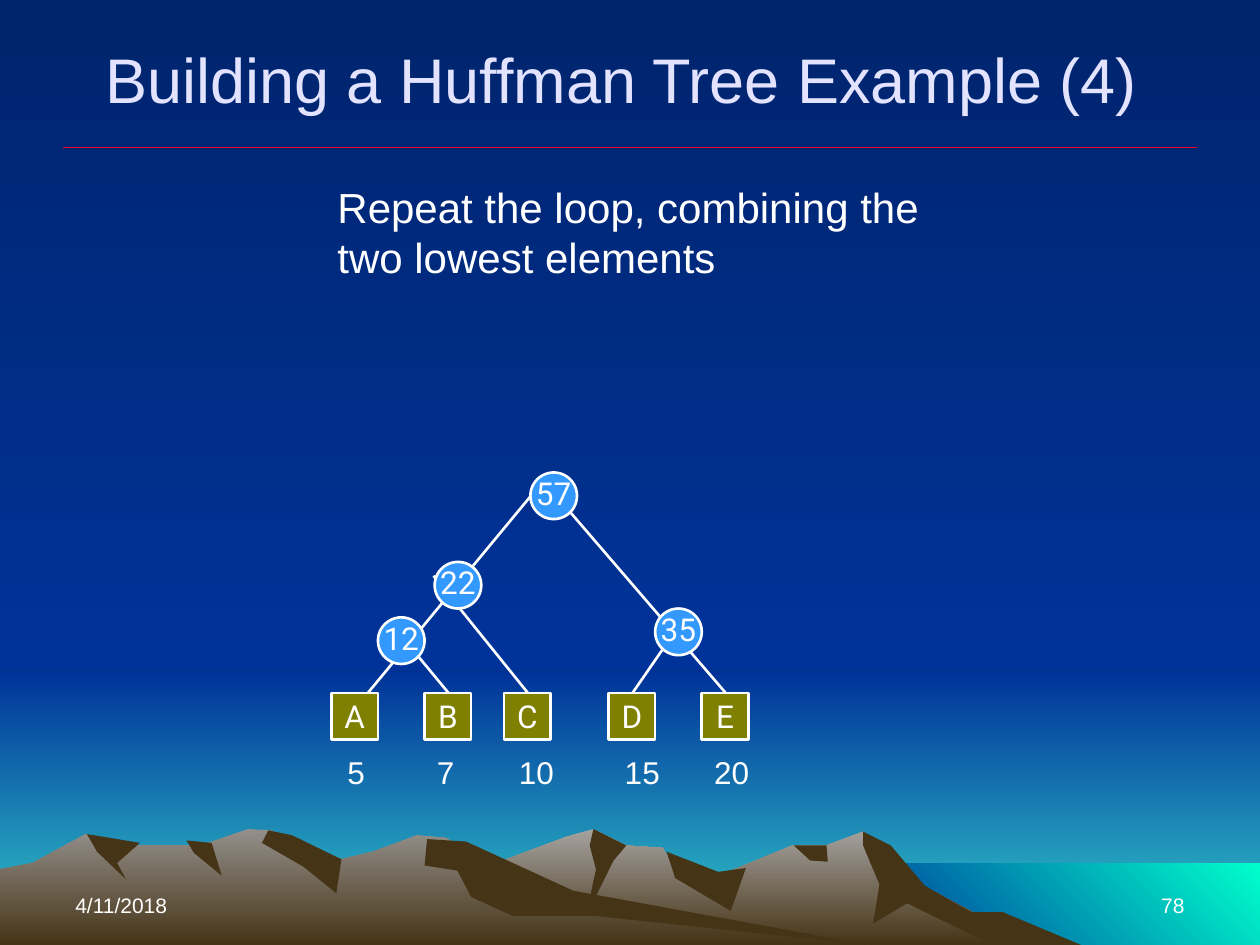
from lxml.etree import SubElement
from pptx import Presentation
from pptx.dml.color import RGBColor as Rgb
from pptx.enum.shapes import MSO_CONNECTOR as Conn, MSO_SHAPE as Shape
from pptx.enum.text import MSO_ANCHOR as Anchor, MSO_AUTO_SIZE as Auto, PP_ALIGN as Align
from pptx.oxml.ns import qn
from pptx.util import Inches, Pt

WIDE, HIGH = 10, 7.5
HORIZON, SHORE = 5.33, 6.85
SIDE = 0.37      # width and height of every tree node
LEAF_TOP = 5.5
LABEL_TOP = 5.93

COLORS = {
    "night": "00246D", "blue": "003399", "teal": "33CCCC", "sea": "00FFCC",
    "mist": "A5A29F", "stone": "938F8B", "earth": "463416", "rule": "EF0129",
    "title": "E3E3FF", "white": "FFFFFF", "leaf": "808000", "node": "3399FF",
}

TITLE = "Building a Huffman Tree Example (4) "
BODY = "Repeat the loop, combining the two lowest elements"
DATE, PAGE = "4/11/2018", "78"

# letter, left of its box, weight, left of the weight
LEAVES = [
    ("A", 2.63, "5", 2.66),
    ("B", 3.37, "7", 3.37),
    ("C", 4.00, "10", 4.02),
    ("D", 4.83, "15", 4.86),
    ("E", 5.57, "20", 5.57),
]
NODES = [("12", 3.00, 4.90), ("22", 3.45, 4.46), ("35", 5.20, 4.83), ("57", 4.21, 3.75)]
EDGES = [
    (5.76, LEAF_TOP, 4.53, 4.07),
    (5.02, LEAF_TOP, 5.40, 4.95),
    (2.87, 5.56, 4.21, 3.94),
    (3.56, LEAF_TOP, 3.32, 5.21),
    (4.19, LEAF_TOP, 3.44, 4.57),
]

# fill, then outline points in inches
HILLS = [
    (("mist", "earth"), [
        (2.58, HIGH), (3.27, 7.09), (3.94, 6.85), (4.5, 6.64), (4.71, 6.58), (4.97, 6.71),
        (5.26, 6.73), (5.36, 6.9), (5.66, 6.97), (6.29, 6.71), (6.56, 6.71), (6.85, 6.6),
        (7.23, 6.98), (8.21, HIGH)]),
    ("earth", [
        (6.85, 6.6), (7.07, 6.71), (7.34, 7.03), (7.71, 7.24), (7.96, 7.24), (8.58, HIGH),
        (7.88, HIGH), (7.2, 7.17), (6.93, 7.33), (6.98, 7.02), (6.85, 6.71)]),
    ("earth", [
        (4.71, 6.58), (4.97, 6.71), (4.87, 6.83), (4.65, 7.27), (4.73, 6.9), (4.68, 6.71)]),
    ("earth", [(5.29, 6.76), (5.7, 6.92), (5.92, 6.89), (5.8, 7.23), (5.36, 6.97)]),
    ("earth", [(6.3, 6.71), (6.56, 6.71), (6.57, 6.84), (6.43, 6.83)]),
    (("stone", "earth"), [
        (0, HIGH), (0, 6.9), (0.26, 6.85), (0.68, 6.62), (0.94, 6.71), (1.6, 6.71),
        (1.97, 6.58), (2.15, 6.59), (2.71, 6.82), (2.96, 6.76), (3.31, 6.63),
        (3.54, 6.65), (4.32, 7.12), (6.9, HIGH)]),
    ("earth", [
        (2.13, 6.59), (2.32, 6.63), (2.71, 6.82), (2.67, 7.09), (2.41, 6.88), (2.08, 6.69)]),
    ("earth", [
        (3.39, 6.66), (3.7, 6.68), (4.55, 7.07), (6.9, HIGH), (4.72, 7.27), (4.07, 7.27),
        (3.74, 7.12), (3.63, 6.91), (3.37, 6.87)]),
    ("earth", [(1.48, 6.67), (1.68, 6.69), (1.76, 6.95), (1.54, 6.77)]),
    ("earth", [
        (0.69, 6.62), (1.11, 6.69), (0.93, 6.85), (1, 6.98), (0.77, 6.76)]),
]

deck = Presentation()
deck.slide_width, deck.slide_height = Inches(WIDE), Inches(HIGH)
slide = deck.slides.add_slide(deck.slide_layouts[5])
shapes = slide.shapes


def tint(name):
    return Rgb.from_string(COLORS[name])


def paint(fill, color, angle=270):
    """Fill with one colour name, or with a gradient for a pair of names."""
    if isinstance(color, str):
        fill.solid()
        fill.fore_color.rgb = tint(color)
        return
    fill.gradient()
    fill.gradient_angle = angle
    for stop, name in zip(fill.gradient_stops, color):
        stop.color.rgb = tint(name)


def style(shape, color, edge=None, **look):
    shape.shadow.inherit = False
    paint(shape.fill, color, **look)
    if edge:
        shape.line.color.rgb = tint(edge)
        shape.line.width = Pt(1.5)
    else:
        shape.line.fill.background()


def block(kind, left, top, width, height, color, **look):
    shape = shapes.add_shape(kind, *map(Inches, (left, top, width, height)))
    style(shape, color, **look)
    return shape


def line(ends, color="white", width=1.5):
    wire = shapes.add_connector(Conn.STRAIGHT, *map(Inches, ends))
    wire.line.color.rgb = tint(color)
    wire.line.width = Pt(width)
    SubElement(wire._element.spPr, qn("a:effectLst"))


def write(shape, text, size=18, font="Arial", color="white", align=Align.LEFT,
          anchor=Anchor.TOP, wrap=True, sides=0.1, head=0.05, grow=False):
    frame = shape.text_frame
    frame.text = text
    frame.word_wrap = wrap
    frame.auto_size = Auto.SHAPE_TO_FIT_TEXT if grow else Auto.NONE
    frame.vertical_anchor = anchor
    frame.margin_left = frame.margin_right = Inches(sides)
    frame.margin_top = Inches(head)
    para = frame.paragraphs[0]
    para.alignment = align
    face = para.runs[0].font
    face.size, face.name, face.color.rgb = Pt(size), font, tint(color)


def label(text, left, top, width, height, **look):
    write(shapes.add_textbox(*map(Inches, (left, top, width, height))), text, **look)


# Sky, water and hills
paint(slide.background.fill, ("night", "blue"))
block(Shape.RECTANGLE, 0, HORIZON, WIDE, HIGH - HORIZON, ("blue", "teal"))
block(Shape.RECTANGLE, 0, 0, WIDE, HORIZON, ("night", "blue"))
block(Shape.RECTANGLE, 6.83, SHORE, WIDE - 6.83, HIGH - SHORE, ("blue", "sea"), angle=45)
for color, points in HILLS:
    first, *rest = [(Inches(x), Inches(y)) for x, y in points]
    pen = shapes.build_freeform(*first)
    pen.add_line_segments(rest, close=True)
    style(pen.convert_to_shape(), color)
line((0.5, 1.17, 9.5, 1.17), color="rule", width=0.75)

# Heading and footer
title = shapes.title
title.left, title.top, title.width, title.height = map(Inches, (0.5, 0, 9, 1.25))
write(title, TITLE, size=36, color="title", align=Align.CENTER, anchor=Anchor.MIDDLE)
shapes._spTree.append(title._element)  # bring in front of the sky
label(BODY, 2.58, 1.39, 5, 0.91, size=24, grow=True)
for text, left, align in [(DATE, 0.5, Align.LEFT), (PAGE, 7.17, Align.RIGHT)]:
    label(text, left, 6.83, 2.33, 0.5, size=12, align=align, anchor=Anchor.BOTTOM)

# Tree
mark = dict(font="Roboto", align=Align.CENTER, anchor=Anchor.MIDDLE, wrap=False)
for ends in EDGES:
    line(ends)
for letter, left, weight, start in LEAVES:
    box = block(Shape.RECTANGLE, left, LEAF_TOP, SIDE, SIDE, "leaf", edge="white")
    write(box, letter, **mark)
    width = 0.2 + 0.14 * len(weight)  # side margins plus digits
    label(weight, start, LABEL_TOP, width, 0.4, wrap=False, grow=True)
for total, left, top in NODES:
    disc = block(Shape.OVAL, left, top, SIDE, SIDE, "node", edge="white")
    write(disc, total, sides=0, head=0, **mark)

deck.save("out.pptx")
